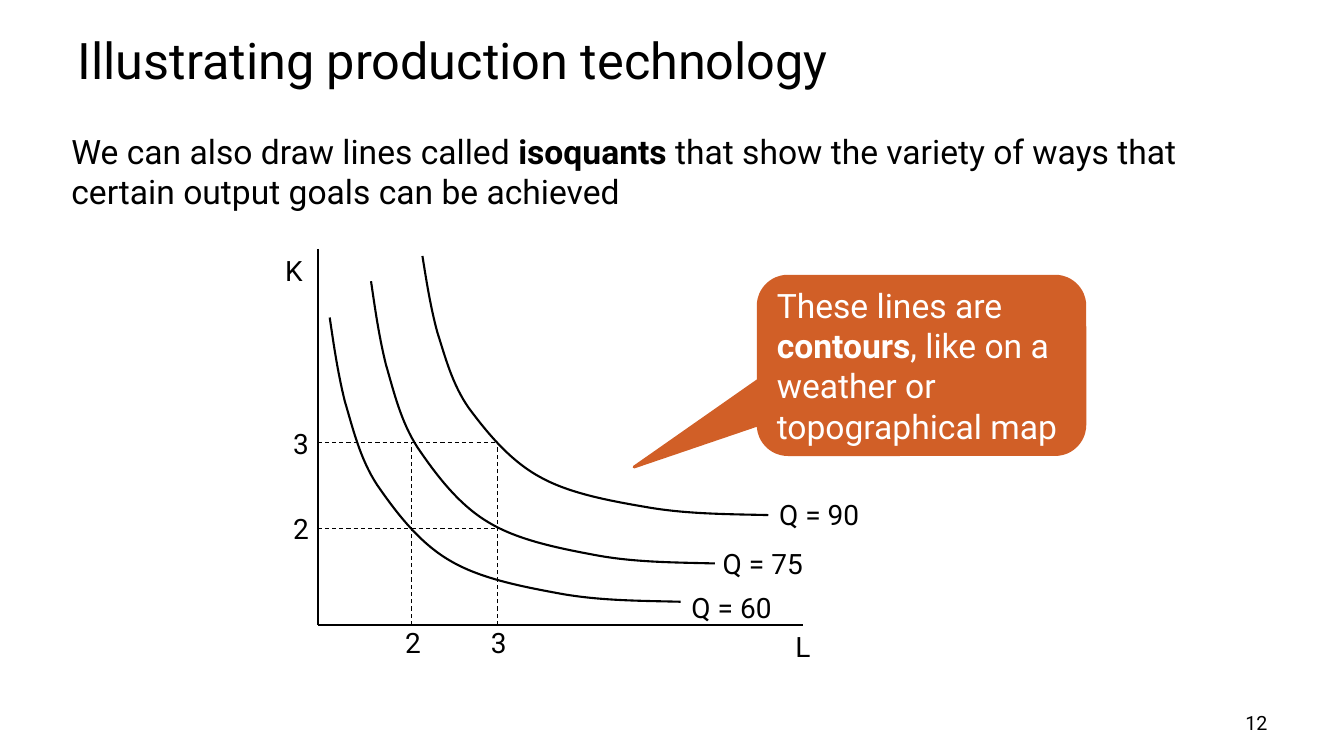
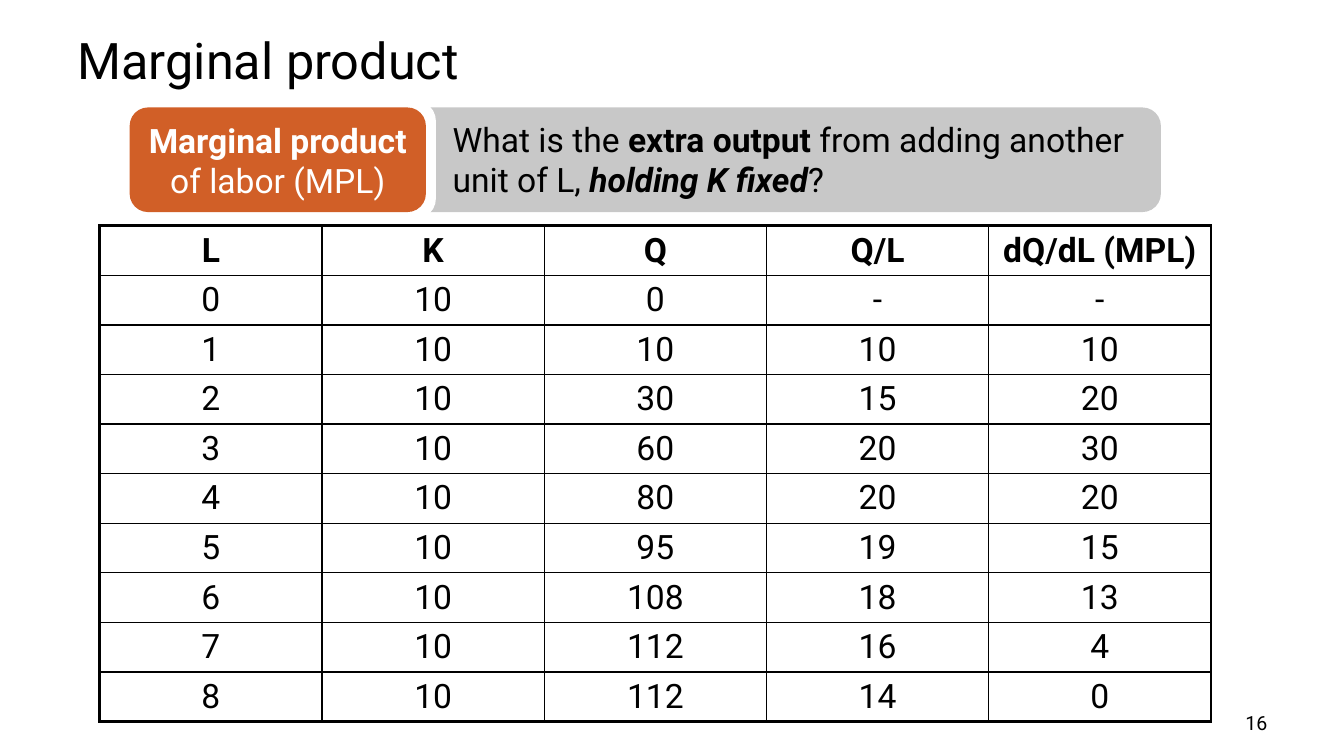
from dataclasses import dataclass

from lxml import etree
from pptx import Presentation
from pptx.dml.color import RGBColor
from pptx.enum.dml import MSO_LINE
from pptx.enum.shapes import MSO_CONNECTOR, MSO_SHAPE
from pptx.enum.text import MSO_ANCHOR, PP_ALIGN
from pptx.oxml.ns import qn
from pptx.util import Inches, Pt

# Shared look
FONT = "Roboto"
BLACK, WHITE, ORANGE, GREY = "000000", "FFFFFF", "D15F27", "C8C8C8"
LEFT, CENTER, RIGHT = PP_ALIGN.LEFT, PP_ALIGN.CENTER, PP_ALIGN.RIGHT
TOP, MIDDLE = MSO_ANCHOR.TOP, MSO_ANCHOR.MIDDLE
DASH = MSO_LINE.DASH
STRAIGHT = MSO_CONNECTOR.STRAIGHT
ROUND, CALLOUT = MSO_SHAPE.ROUNDED_RECTANGLE, MSO_SHAPE.ROUNDED_RECTANGULAR_CALLOUT
BODY, LABEL = 24, 20

# Graph frame: axes and the input levels 2 and 3
AXIS_X, AXIS_Y = 3.15, 6.2
TICKS_L = {"2": 4.08, "3": 4.93}
TICKS_K = {"2": 5.24, "3": 4.39}


@dataclass(frozen=True)
class Box:
    left: float
    top: float
    width: float
    height: float

    def emu(self) -> list:
        return [Inches(v) for v in (self.left, self.top, self.width, self.height)]


@dataclass(frozen=True)
class Curve:
    name: str
    box: Box
    label: Box


CURVES = [
    Curve("Q = 60", Box(3.27, 3.15, 3.48, 2.82), Box(6.76, 5.81, 1.33, 0.4)),
    Curve("Q = 75", Box(3.68, 2.79, 3.41, 2.8), Box(7.07, 5.37, 1.33, 0.4)),
    Curve("Q = 90", Box(4.19, 2.54, 3.43, 2.57), Box(7.63, 4.89, 1.14, 0.4)),
]

# Bezier points of one isoquant, scaled into each curve's box
SPAN = (3.48, 2.82)
BENDS = [
    (0, 0), (0.04, 0.27), (0.08, 0.55), (0.15, 0.83),
    (0.23, 1.1), (0.3, 1.4), (0.47, 1.66),
    (0.65, 1.92), (0.88, 2.23), (1.19, 2.41),
    (1.49, 2.59), (1.91, 2.67), (2.29, 2.74),
    (2.68, 2.81), (3.08, 2.81), (3.48, 2.82),
]

OUTPUT = [0, 10, 30, 60, 80, 95, 108, 112, 112]
CAPITAL = 10


def rgb(code: str) -> RGBColor:
    return RGBColor.from_string(code)


def write(frame, *runs, size=BODY, color=BLACK, align=LEFT, anchor=None) -> None:
    """Each run is a string, or a pair of string and style letters (b, i)."""
    frame.word_wrap = True
    if anchor is not None:
        frame.vertical_anchor = anchor
    para = frame.paragraphs[0]
    para.alignment = align
    for item in runs:
        text, style = (item, "") if isinstance(item, str) else item
        run = para.add_run()
        run.text = text
        font = run.font
        font.name, font.size, font.color.rgb = FONT, Pt(size), rgb(color)
        font.bold, font.italic = "b" in style, "i" in style


def add_text(slide, box: Box, *runs, **form) -> None:
    write(slide.shapes.add_textbox(*box.emu()).text_frame, *runs, anchor=TOP, **form)


def add_panel(slide, kind, box: Box, fill: str):
    shape = slide.shapes.add_shape(kind, *box.emu())
    shape.shadow.inherit = False
    shape.fill.solid()
    shape.fill.fore_color.rgb = rgb(fill)
    shape.line.color.rgb = rgb(fill)
    shape.line.width = Pt(2)
    return shape


def add_line(slide, start: tuple, end: tuple, width=1.5, dash=None) -> None:
    ends = [Inches(v) for v in (*start, *end)]
    link = slide.shapes.add_connector(STRAIGHT, *ends)
    link.line.color.rgb = rgb(BLACK)
    link.line.width = Pt(width)
    if dash is not None:
        link.line.dash_style = dash
    etree.SubElement(link._element.spPr, qn("a:effectLst"))


def bend(shape) -> None:
    """Turn each three straight segments into one Bezier segment."""
    trail = next(shape._element.iter(qn("a:pathLst")))[0]
    legs = trail.findall(qn("a:lnTo"))
    for i in range(0, len(legs), 3):
        arc = etree.SubElement(trail, qn("a:cubicBezTo"))
        for leg in legs[i:i + 3]:
            arc.append(leg[0])
            trail.remove(leg)


def add_curve(slide, curve: Curve) -> None:
    box = curve.box
    first, *rest = [(Inches(box.left + x / SPAN[0] * box.width),
                     Inches(box.top + y / SPAN[1] * box.height)) for x, y in BENDS]
    pen = slide.shapes.build_freeform(*first)
    pen.add_line_segments(rest, close=False)
    shape = pen.convert_to_shape()
    bend(shape)
    shape.shadow.inherit = False
    shape.fill.background()
    shape.line.color.rgb = rgb(BLACK)
    shape.line.width = Pt(1.5)
    add_text(slide, curve.label, curve.name, size=LABEL)


def add_edge(cell, side: str, width: float) -> None:
    edge = etree.SubElement(cell._tc.get_or_add_tcPr(), qn("a:ln" + side), w=str(Pt(width)))
    fill = etree.SubElement(edge, qn("a:solidFill"))
    etree.SubElement(fill, qn("a:srgbClr"), val=BLACK)


def add_grid(slide, box: Box, rows: list) -> None:
    high, wide = len(rows), len(rows[0])
    table = slide.shapes.add_table(high, wide, *box.emu()).table
    table.first_row = table.horz_banding = False
    for r, row in enumerate(rows):
        for c, value in enumerate(row):
            cell = table.cell(r, c)
            rims = {"L": c == 0, "R": c == wide - 1, "T": r == 0, "B": r == high - 1}
            for side, outer in rims.items():
                add_edge(cell, side, 2.25 if outer else 1)
            cell.fill.background()
            cell.vertical_anchor = MIDDLE
            cell.margin_top = cell.margin_bottom = Inches(0.04)
            write(cell.text_frame, (str(value), "" if r else "b"), align=CENTER)


def add_slide(deck, title: str, number: int):
    slide = deck.slides.add_slide(deck.slide_layouts[5])
    head = slide.shapes.title
    head.left, head.top, head.width, head.height = Box(0.67, 0.23, 12, 0.71).emu()
    write(head.text_frame, title, size=36, anchor=MIDDLE)
    add_text(slide, Box(9.56, 7.0, 3.11, 0.34), str(number), size=14, align=RIGHT)
    return slide


def draw_graph(deck) -> None:
    slide = add_slide(deck, "Illustrating production technology", 12)
    add_text(slide, Box(0.61, 1.25, 11.59, 0.91), "We can also draw lines called ",
             ("isoquants", "b"),
             " that show the variety of ways that certain output goals can be achieved")

    # Axes
    add_line(slide, (AXIS_X, 2.47), (AXIS_X, AXIS_Y))
    add_line(slide, (AXIS_X, AXIS_Y), (7.96, AXIS_Y))
    add_text(slide, Box(2.73, 2.47, 0.41, 0.47), "K", size=LABEL)
    add_text(slide, Box(7.79, 6.2, 0.41, 0.47), "L", size=LABEL)

    # Dashed guides with their values
    for name, x in TICKS_L.items():
        add_line(slide, (x, AXIS_Y), (x, TICKS_K["3"]), 0.75, DASH)
        add_text(slide, Box(x - 0.16, 6.16, 0.41, 0.47), name, size=LABEL)
    for name, y in TICKS_K.items():
        add_line(slide, (AXIS_X, y), (TICKS_L["3"], y), 0.75, DASH)
        add_text(slide, Box(2.81, y - 0.21, 0.41, 0.47), name, size=LABEL)

    for curve in CURVES:
        add_curve(slide, curve)

    # Callout
    note = add_panel(slide, CALLOUT, Box(7.52, 2.74, 3.24, 1.77), ORANGE)
    note.adjustments[0], note.adjustments[1] = -0.88, 0.57
    write(note.text_frame, "These lines are ", ("contours", "b"),
          ", like on a weather or topographical map", color=WHITE, anchor=MIDDLE)


def draw_margin(deck) -> None:
    slide = add_slide(deck, "Marginal product", 16)

    # Output table: average and marginal product follow from Q
    rows = [["L", "K", "Q", "Q/L", "dQ/dL (MPL)"], [0, CAPITAL, OUTPUT[0], "-", "-"]]
    for labor in range(1, len(OUTPUT)):
        total = OUTPUT[labor]
        rows.append([labor, CAPITAL, total, total // labor, total - OUTPUT[labor - 1]])
    add_grid(slide, Box(0.99, 2.24, 11.02, 4.92), rows)

    # Definition band
    add_panel(slide, ROUND, Box(3.83, 1.08, 7.67, 1.01), GREY)
    add_panel(slide, ROUND, Box(2.31, 1.01, 2, 1.15), WHITE)
    term = add_panel(slide, ROUND, Box(1.3, 1.08, 2.91, 1.01), ORANGE)
    write(term.text_frame, ("Marginal product ", "b"), "of labor (MPL)",
          color=WHITE, align=CENTER, anchor=MIDDLE)
    add_text(slide, Box(4.39, 1.13, 7.11, 0.91), "What is the ", ("extra output ", "b"),
             "from adding another unit of L, ", ("holding K fixed", "bi"), "?")


def main() -> None:
    deck = Presentation()
    deck.slide_width, deck.slide_height = Inches(13.33), Inches(7.5)
    draw_graph(deck)
    draw_margin(deck)
    deck.save("out.pptx")


if __name__ == "__main__":
    main()
